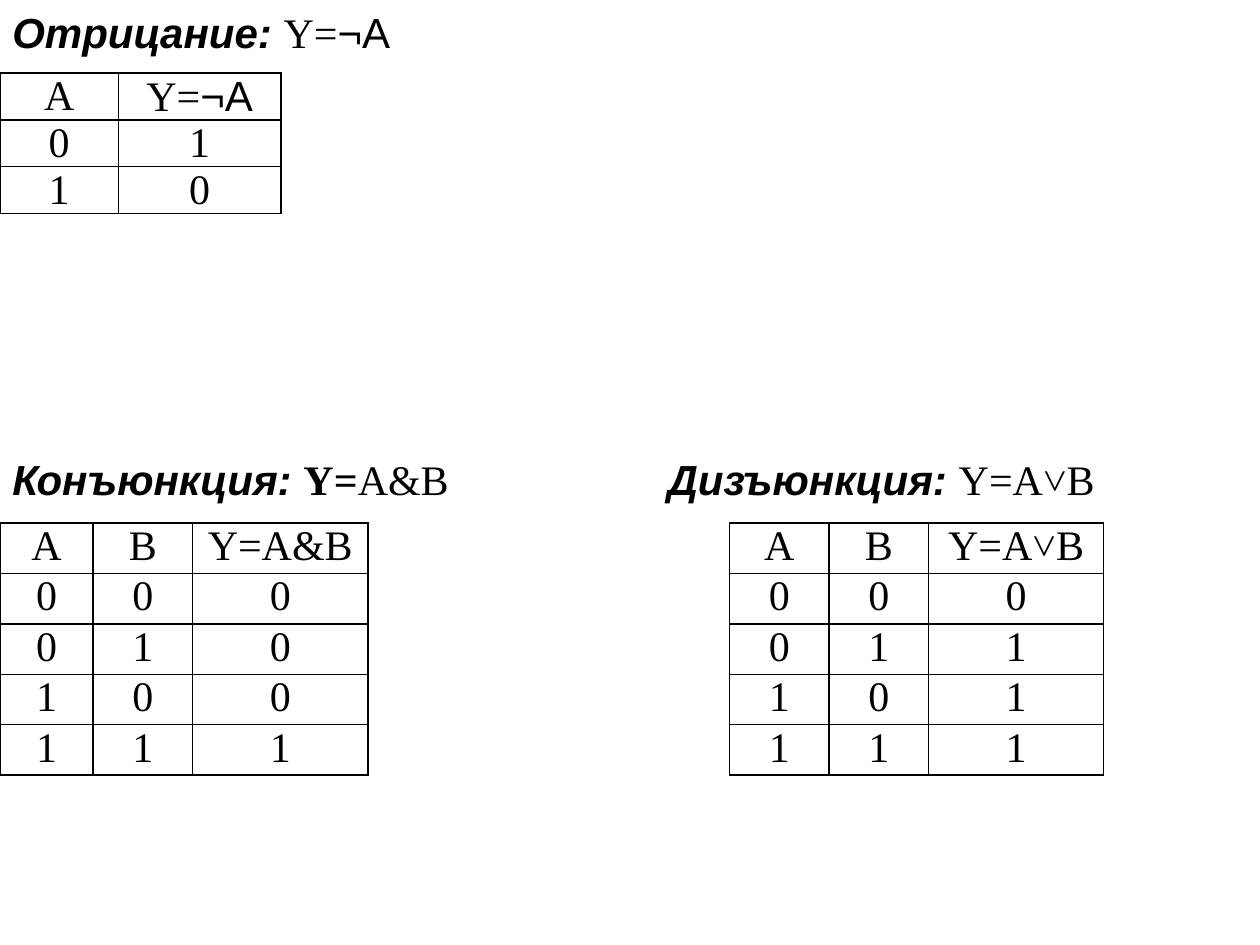
from itertools import product

from lxml import etree
from pptx import Presentation
from pptx import util as u
from pptx.dml.color import RGBColor
from pptx.enum import text
from pptx.oxml.ns import qn

SERIF, SANS = "Times New Roman", "Arial"
INK = "000000"
SIZE = 24
ROW = 0.37          # table row height
HEADING = 0.5       # heading height
GAP = 0.1           # space between heading and table

# Runs are (text, font, bold); name is the heading's bold italic opening
NOT = [("Y=", SERIF, False), ("¬A", SANS, False)]
AND = [("Y=A&B", SERIF, False)]
OR = [("Y=A˅B", SERIF, False)]
OPERATIONS = [
    dict(name="Отрицание: ", formula=NOT, label=NOT, inputs="A",
         result=lambda a: 1 - a, heading=(0, 0, 10), wrap=True,
         table_left=0, gap=0.08, columns=[0.94, 1.29]),
    dict(name="Конъюнкция: ", formula=AND, inputs="AB",
         label=[("Y=", SERIF, True), ("A&B", SERIF, False)],
         result=lambda a, b: a & b, heading=(0, 3.55, 4.01), wrap=True,
         table_left=0, gap=GAP, columns=[0.74, 0.79, 1.39]),
    dict(name="Дизъюнкция: ", formula=OR, label=OR, inputs="AB",
         result=lambda a, b: a | b, heading=(5.2, 3.55, 3.63), wrap=False,
         table_left=5.79, gap=GAP, columns=[0.79, 0.79, 1.39]),
]


def color(value):
    return RGBColor.from_string(value)


def add_run(para, words, font, bold=False, italic=False):
    span = para.add_run()
    span.text = words
    span.font.name, span.font.size = font, u.Pt(SIZE)
    span.font.bold, span.font.italic = bold, italic
    span.font.color.rgb = color(INK)


def add_heading(page, item):
    left, top, width = item["heading"]
    box = page.shapes.add_textbox(*map(u.Inches, (left, top, width, HEADING)))
    frame = box.text_frame
    frame.word_wrap = item["wrap"]
    frame.auto_size = text.MSO_AUTO_SIZE.SHAPE_TO_FIT_TEXT
    para = frame.paragraphs[0]
    add_run(para, item["name"], SANS, bold=True, italic=True)
    for run in item["label"]:
        add_run(para, *run)


def add_borders(cell):
    properties = cell._tc.get_or_add_tcPr()
    for place, side in enumerate(("a:lnL", "a:lnR", "a:lnT", "a:lnB")):
        line = etree.Element(qn(side), w=str(u.Pt(1)))
        fill = etree.SubElement(line, qn("a:solidFill"))
        etree.SubElement(fill, qn("a:srgbClr"), val=INK)
        properties.insert(place, line)


def fill_cell(cell, runs):
    cell.fill.background()
    cell.margin_left = cell.margin_right = u.Inches(0.07)
    cell.margin_top = cell.margin_bottom = 0
    add_borders(cell)
    para = cell.text_frame.paragraphs[0]
    para.alignment = text.PP_ALIGN.CENTER
    for run in runs:
        add_run(para, *run)


def add_truth_table(page, item):
    # Header row, then every combination of inputs with its result
    rows = [[[(name, SERIF)] for name in item["inputs"]] + [item["formula"]]]
    for values in product((0, 1), repeat=len(item["inputs"])):
        rows.append([[(str(value), SERIF)]
                     for value in (*values, item["result"](*values))])

    columns = item["columns"]
    top = item["heading"][1] + HEADING + item["gap"]
    bounds = (item["table_left"], top, sum(columns), ROW * len(rows))
    table = page.shapes.add_table(
        len(rows), len(columns), *map(u.Inches, bounds)).table
    table.first_row = table.horz_banding = False
    for column, width in zip(table.columns, columns):
        column.width = u.Inches(width)
    for r, row in enumerate(rows):
        for c, runs in enumerate(row):
            fill_cell(table.cell(r, c), runs)


def main():
    deck = Presentation()
    deck.slide_width, deck.slide_height = u.Inches(10), u.Inches(7.5)
    page = deck.slides.add_slide(deck.slide_layouts[6])
    for item in OPERATIONS:
        add_truth_table(page, item)
        add_heading(page, item)
    deck.save("out.pptx")


if __name__ == "__main__":
    main()
